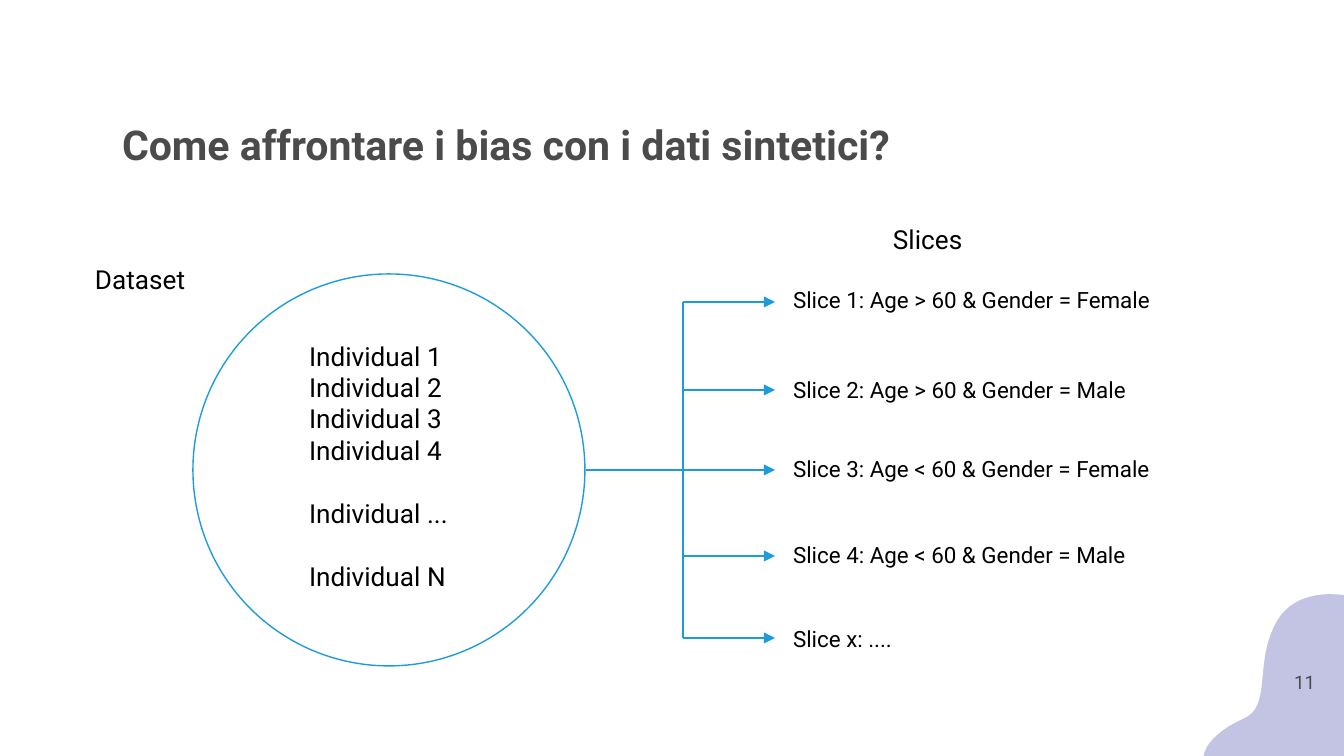
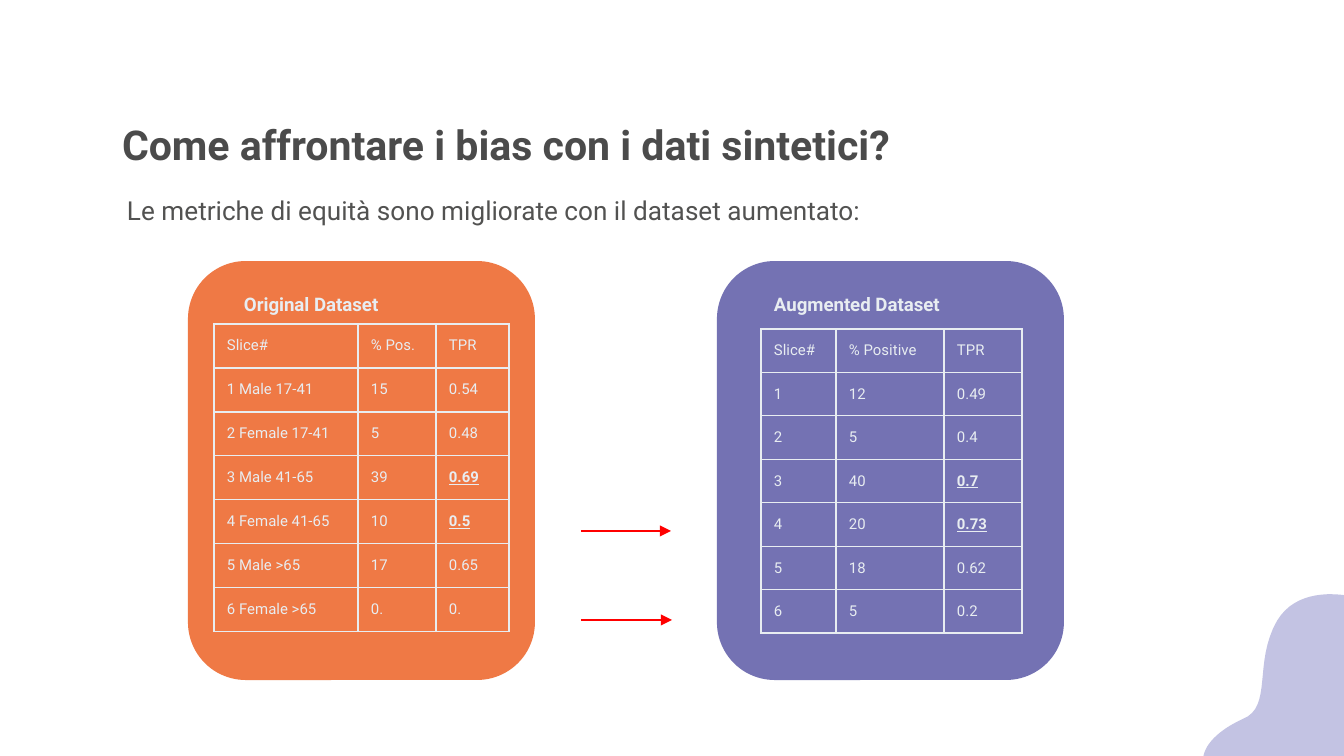
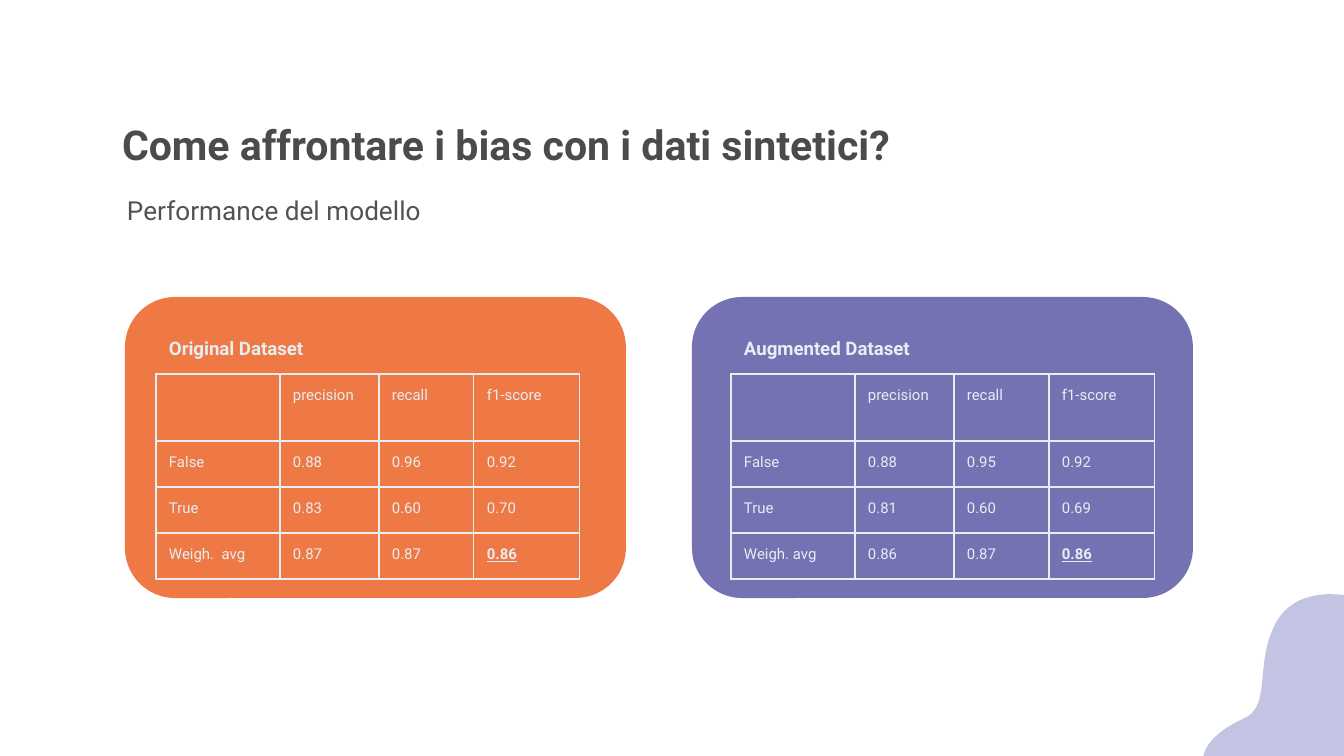
from lxml.etree import SubElement
from pptx import Presentation
from pptx.dml.color import RGBColor
from pptx.enum.shapes import MSO_CONNECTOR, MSO_SHAPE
from pptx.enum.text import MSO_ANCHOR, MSO_AUTO_SIZE, PP_ALIGN
from pptx.oxml.ns import qn
from pptx.util import Pt

SCALE = 914400 / 134.4
FONT = "Roboto"
BLACK, TITLE_GREY, TEXT_GREY = "000000", "4B4B4B", "525251"
PALE, LILAC, BLUE, RED = "E8EDF1", "C3C3E3", "1E9BDC", "FF0000"
ORANGE, PURPLE = "EF7945", "7472B3"
INSET = 13

TITLE = "Come affrontare i bias con i dati sintetici?"
TITLE_BOX = (109, 106, 970, 77)
SUBTITLE_BOX = (114, 181, 1007, 59)

BLOB_START = (1355, 597)
BLOB_CURVES = [
    ((1336, 593), (1296, 589), (1277, 621)),
    ((1253, 663), (1273, 707), (1243, 719)),
    ((1219, 730), (1203, 745), (1203, 761)),
]
BLOB_END = [(1203, 766), (1355, 766)]

INDIVIDUALS = [
    ("Individual 1", 0), ("Individual 2", 0), ("Individual 3", 0),
    ("Individual 4", 0), ("Individual ...", 17), ("Individual N", 17),
]
SLICES = [
    ("Slice 1: Age > 60 & Gender = Female", 302, 273),
    ("Slice 2: Age > 60 & Gender = Male", 390, 363),
    ("Slice 3: Age < 60 & Gender = Female", 470, 442),
    ("Slice 4: Age < 60 & Gender = Male", 556, 528),
    ("Slice x: ....", 638, 612),
]

FAIRNESS = {
    "subtitle": "Le metriche di equità sono migliorate con il dataset aumentato:",
    "card": (261, 347, 419),
    "heading_top": 280,
    "arrows": [(531, 671), (620, 672)],
    "panels": [
        {"heading": "Original Dataset", "color": ORANGE, "left": 188,
         "heading_left": 231, "table": (214, 324),
         "columns": [144, 78, 73], "row": 44,
         "rows": [("Slice#", "% Pos.", "TPR"),
                  ("1 Male 17-41", "15", "0.54"),
                  ("2 Female 17-41", "5", "0.48"),
                  ("3 Male 41-65", "39", "*0.69"),
                  ("4 Female 41-65", "10", "*0.5"),
                  ("5 Male >65", "17", "0.65"),
                  ("6 Female >65", "0.", "0.")]},
        {"heading": "Augmented Dataset", "color": PURPLE, "left": 717,
         "heading_left": 761, "table": (761, 329),
         "columns": [75, 108, 78], "row": 36,
         "rows": [("Slice#", "% Positive", "TPR"),
                  ("1", "12", "0.49"),
                  ("2", "5", "0.4"),
                  ("3", "40", "*0.7"),
                  ("4", "20", "*0.73"),
                  ("5", "18", "0.62"),
                  ("6", "5", "0.2")]},
    ],
}
SCORE_COLUMNS = [124, 99, 95, 106]
SCORE_HEADER = ("", "precision", "recall", "f1-score")
PERFORMANCE = {
    "subtitle": "Performance del modello",
    "card": (297, 501, 301),
    "heading_top": 324,
    "arrows": [],
    "panels": [
        {"heading": "Original Dataset", "color": ORANGE, "left": 125,
         "heading_left": 156, "table": (156, 374),
         "columns": SCORE_COLUMNS, "row": 46,
         "rows": [SCORE_HEADER,
                  ("False", "0.88", "0.96", "0.92"),
                  ("True", "0.83", "0.60", "0.70"),
                  ("Weigh.  avg", "0.87", "0.87", "*0.86")]},
        {"heading": "Augmented Dataset", "color": PURPLE, "left": 692,
         "heading_left": 731, "table": (731, 374),
         "columns": SCORE_COLUMNS, "row": 46,
         "rows": [SCORE_HEADER,
                  ("False", "0.88", "0.95", "0.92"),
                  ("True", "0.81", "0.60", "0.69"),
                  ("Weigh. avg", "0.86", "0.87", "*0.86")]},
    ],
}


def px(n):
    """Turn pixels into EMU."""
    return round(n * SCALE)


def rgb(value):
    """Turn a hex string into a colour."""
    return RGBColor.from_string(value)


def add_run(p, text, size, color, bold=False, underline=False):
    """Append one formatted run to a paragraph."""
    r = p.add_run()
    r.text = text
    r.font.name, r.font.size = FONT, Pt(size)
    r.font.bold, r.font.underline = bold, underline
    r.font.color.rgb = rgb(color)


def frame(sp, anchor=MSO_ANCHOR.TOP):
    """Give a text shape the shared wrapping and insets."""
    tf = sp.text_frame
    tf.word_wrap, tf.auto_size = True, MSO_AUTO_SIZE.NONE
    tf.vertical_anchor = anchor
    tf.margin_left = tf.margin_right = px(INSET)
    tf.margin_top = tf.margin_bottom = px(INSET)
    return tf


def label(s, text, box, size, color, bold=False, align=PP_ALIGN.LEFT,
          anchor=MSO_ANCHOR.TOP):
    """Add a one-line text box."""
    p = frame(s.shapes.add_textbox(*map(px, box)), anchor).paragraphs[0]
    p.alignment = align
    add_run(p, text, size, color, bold)


def fill_placeholder(sp, box, lines, size, color, bold=False):
    """Place a placeholder and write (text, gap before) lines without bullets."""
    sp.left, sp.top, sp.width, sp.height = map(px, box)
    tf = frame(sp)
    for i, (text, gap) in enumerate(lines):
        p = tf.add_paragraph() if i else tf.paragraphs[0]
        p.alignment, p.space_before = PP_ALIGN.LEFT, Pt(gap)
        pPr = p._p.get_or_add_pPr()
        pPr.set("marL", "0")
        pPr.set("indent", "0")
        SubElement(pPr, qn("a:buNone"))
        add_run(p, text, size, color, bold)


def add_slide(prs, body_box, lines, color):
    """Add a slide with the shared title and a body."""
    s = prs.slides.add_slide(prs.slide_layouts[1])
    fill_placeholder(s.shapes.title, TITLE_BOX, [(TITLE, 0)], 22, TITLE_GREY, True)
    fill_placeholder(s.placeholders[1], body_box, lines, 14, color)
    return s


def connect(s, start, end, color, arrow=False):
    """Draw a straight line, with an arrowhead if wanted."""
    line = s.shapes.add_connector(MSO_CONNECTOR.STRAIGHT, *map(px, start + end))
    line.line.color.rgb, line.line.width = rgb(color), Pt(0.75)
    if arrow:
        SubElement(line.line._get_or_add_ln(), qn("a:tailEnd"), type="triangle")
    SubElement(line.element.spPr, qn("a:effectLst"))


def bezier(points, steps=16):
    """Return points along a cubic curve, without its start."""
    weights = [((1 - t) ** 3, 3 * t * (1 - t) ** 2, 3 * t * t * (1 - t), t ** 3)
               for t in (i / steps for i in range(1, steps + 1))]
    return [tuple(sum(w * pt[axis] for w, pt in zip(ws, points)) for axis in (0, 1))
            for ws in weights]


def add_blob(s, layout):
    """Draw the corner blob and move it to the layout."""
    outline = [BLOB_START]
    for curve in BLOB_CURVES:
        outline += bezier((outline[-1], *curve))
    outline = [(px(x), px(y)) for x, y in outline + BLOB_END]
    builder = s.shapes.build_freeform(*outline[0])
    builder.add_line_segments(outline[1:], close=True)
    blob = builder.convert_to_shape()
    blob.shadow.inherit = False
    blob.fill.solid()
    blob.fill.fore_color.rgb = rgb(LILAC)
    blob.line.fill.background()
    layout.shapes.element.append(blob.element)


def outline_cell(cell):
    """Give a cell thin pale borders and no fill."""
    tcPr = cell._tc.get_or_add_tcPr()
    for side in ("lnL", "lnR", "lnT", "lnB"):
        ln = SubElement(tcPr, qn(f"a:{side}"), w=str(Pt(0.75)))
        SubElement(SubElement(ln, qn("a:solidFill")), qn("a:srgbClr"), val=PALE)
    cell.fill.background()
    cell.margin_left = cell.margin_right = px(INSET)
    cell.margin_top = cell.margin_bottom = px(INSET)


def add_grid(s, panel):
    """Add a panel's table; a leading star marks a highlighted value."""
    rows, columns, height = panel["rows"], panel["columns"], panel["row"]
    size = (sum(columns), height * len(rows))
    table = s.shapes.add_table(len(rows), len(columns),
                               *map(px, panel["table"] + size)).table
    table.first_row = table.horz_banding = False
    for column, width in zip(table.columns, columns):
        column.width = px(width)
    for row, values in zip(table.rows, rows):
        row.height = px(height)
        for cell, value in zip(row.cells, values):
            outline_cell(cell)
            if value:
                marked = value.startswith("*")
                add_run(cell.text_frame.paragraphs[0], value.lstrip("*"), 8, PALE,
                        marked, marked)


def slices_slide(prs):
    """Build the slide that splits the dataset into slices."""
    s = add_slide(prs, (296, 327, 187, 312), INDIVIDUALS, BLACK)
    add_blob(s, prs.slide_layouts[1])
    circle = s.shapes.add_shape(MSO_SHAPE.OVAL, *map(px, (193, 274, 392, 392)))
    circle.shadow.inherit = False
    circle.fill.background()
    circle.line.color.rgb, circle.line.width = rgb(BLUE), Pt(0.75)
    trunk, tip = 683, 775
    connect(s, (586, 470), (trunk, 470), BLUE)
    connect(s, (trunk, SLICES[0][1]), (trunk, SLICES[-1][1]), BLUE)
    for text, arrow_y, text_top in SLICES:
        connect(s, (trunk, arrow_y), (tip, arrow_y), BLUE, True)
        label(s, text, (780, text_top, 466, 54), 12, BLACK)
    label(s, "Dataset", (82, 250, 171, 59), 14, BLACK)
    label(s, "Slices", (880, 210, 171, 59), 14, BLACK)
    label(s, "11", (1247, 653, 81, 58), 10, TITLE_GREY,
          align=PP_ALIGN.RIGHT, anchor=MSO_ANCHOR.MIDDLE)


def comparison_slide(prs, content):
    """Build a slide that sets two dataset tables side by side."""
    s = add_slide(prs, SUBTITLE_BOX, [(content["subtitle"], 0)], TEXT_GREY)
    top, width, height = content["card"]
    for panel in content["panels"]:
        card = s.shapes.add_shape(MSO_SHAPE.ROUNDED_RECTANGLE,
                                  *map(px, (panel["left"], top, width, height)))
        card.shadow.inherit = False
        card.fill.solid()
        card.fill.fore_color.rgb = rgb(panel["color"])
        card.line.fill.background()
        label(s, panel["heading"],
              (panel["heading_left"], content["heading_top"], 441, 50), 10, PALE, True)
        add_grid(s, panel)
    for y, tip in content["arrows"]:
        connect(s, (581, y), (tip, y), RED, True)


def main():
    """Build and save the presentation."""
    prs = Presentation()
    prs.slide_width, prs.slide_height = px(1344), px(756)
    slices_slide(prs)
    for content in (FAIRNESS, PERFORMANCE):
        comparison_slide(prs, content)
    prs.save("out.pptx")


if __name__ == "__main__":
    main()
